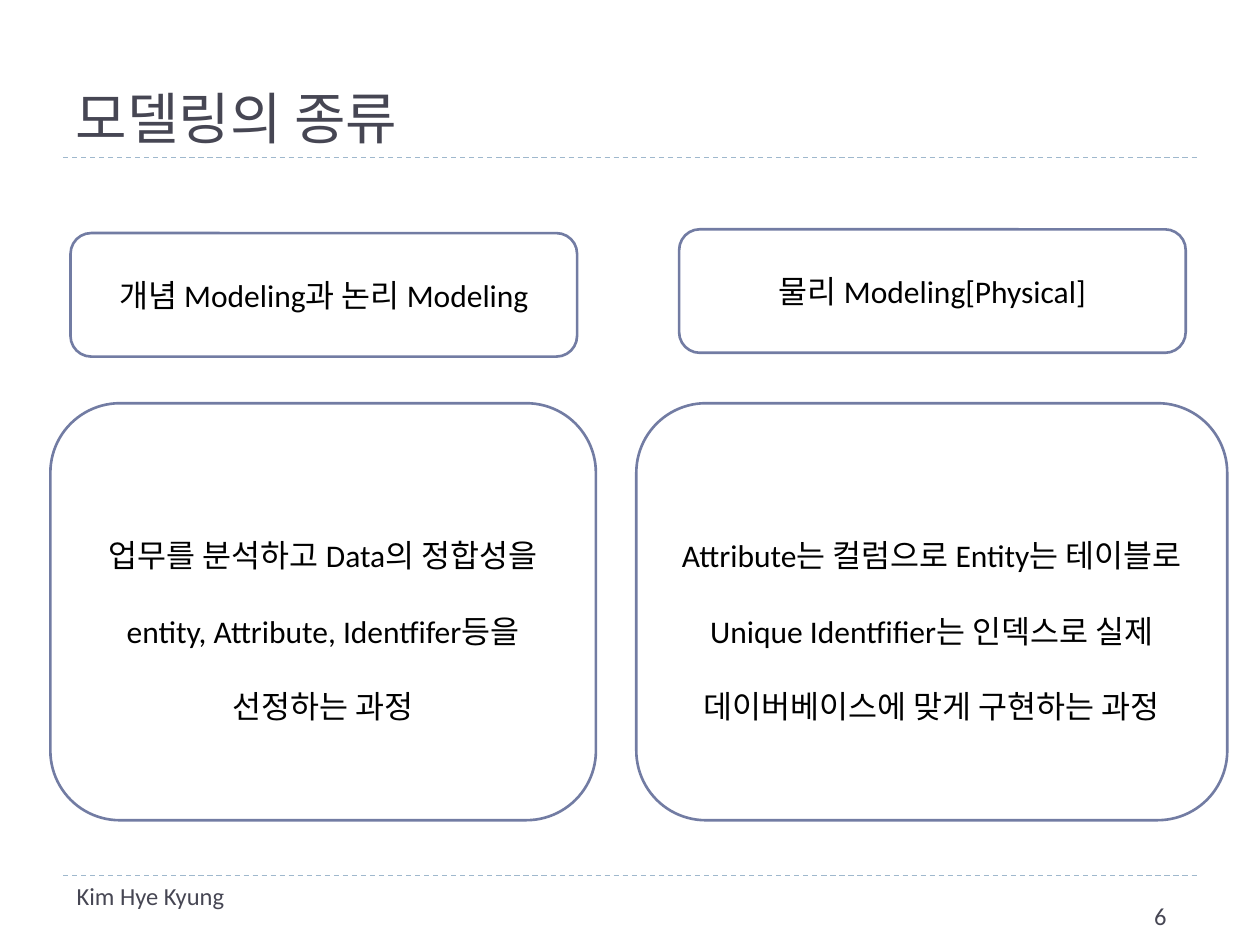
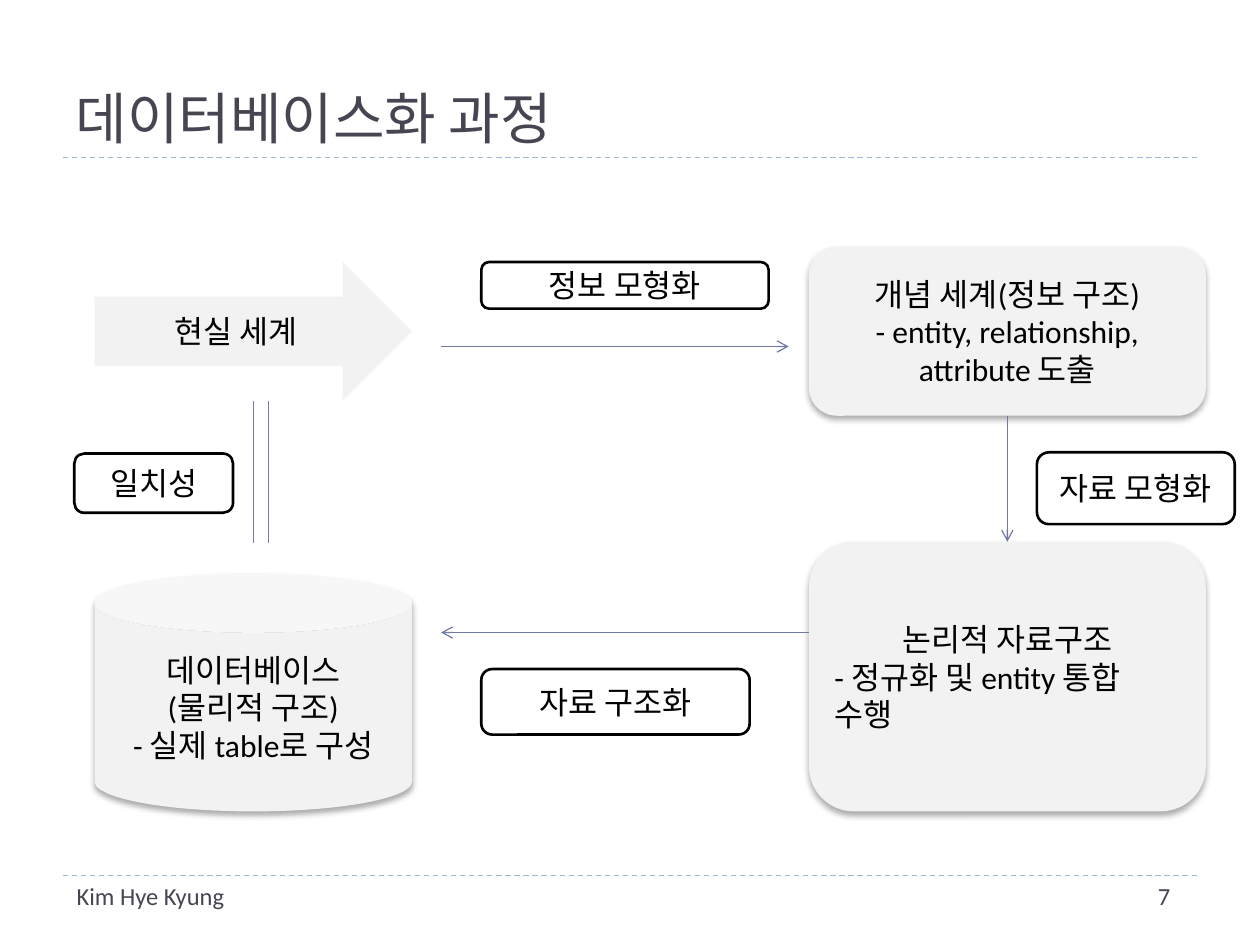
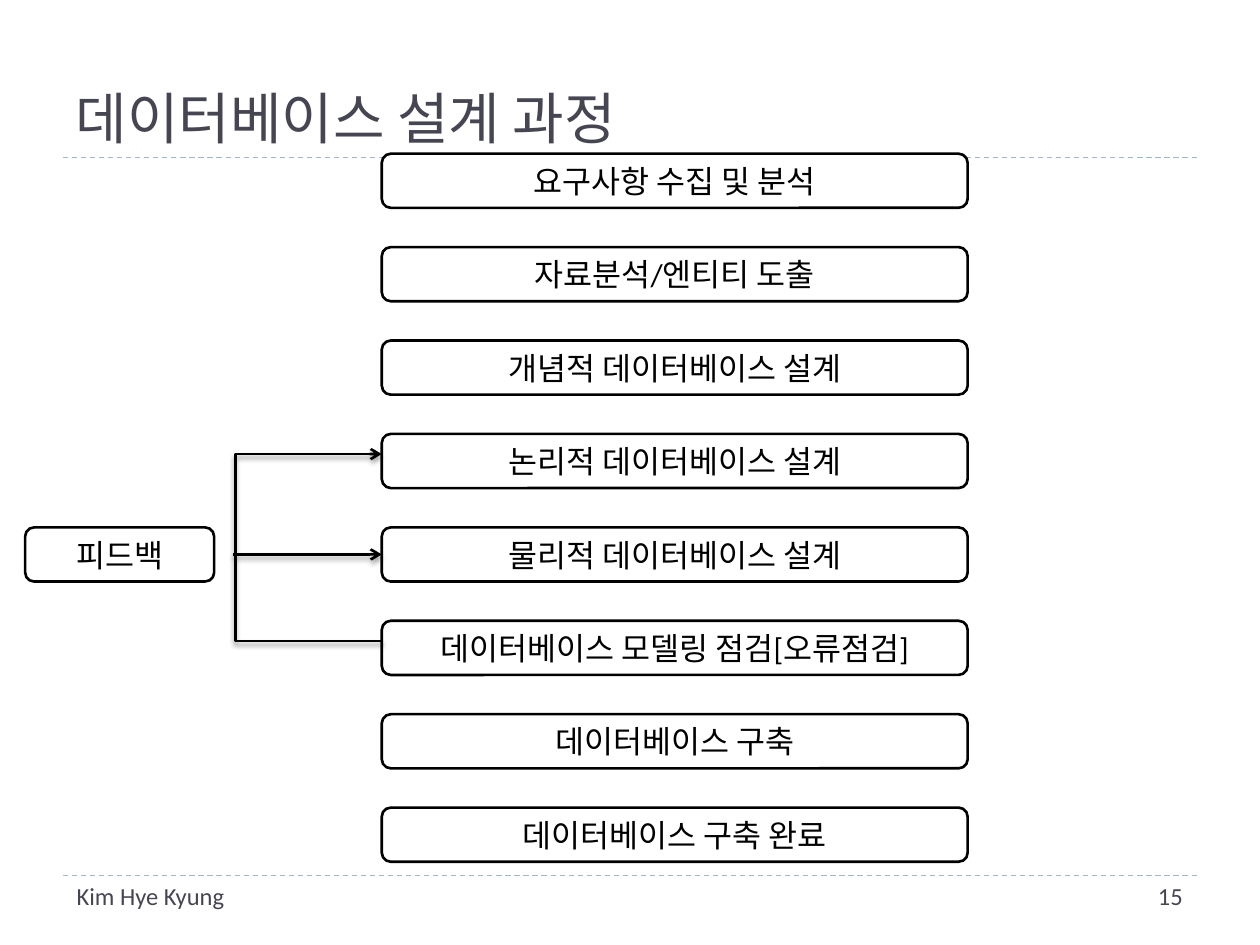
import dataclasses

import lxml.etree
import pptx
import pptx.dml.color
import pptx.enum.dml
import pptx.enum.shapes
import pptx.enum.text
import pptx.oxml.ns
import pptx.util

KIND = pptx.enum.shapes.MSO_SHAPE
LINK = pptx.enum.shapes.MSO_CONNECTOR
ALIGN = pptx.enum.text.PP_ALIGN
ANCHOR = pptx.enum.text.MSO_ANCHOR


@dataclasses.dataclass(frozen=True)
class Theme:
    ink: str = "464653"
    rule: str = "9FB8CD"
    edge: str = "727CA3"
    black: str = "000000"
    white: str = "FFFFFF"
    pale: str = "F2F2F2"
    head: str = "TeX Gyre Bonum"
    face: str = "Calibri"
    title: int = 32
    text: int = 18
    foot: int = 14
    thin: float = 0.75
    thick: float = 1.5
    box_glow: tuple = (32, 3.5, 2.2)
    line_glow: tuple = (40, 3, 2)


THEME = Theme()
WIDE, HIGH = 10, 7.5
SIDE, TOP, BASE = 0.5, 1.25, 6.95
AUTHOR = "Kim Hye Kyung"

KINDS = {
    "title": "모델링의 종류",
    "page": ("6", 8.62, 7.1),
    "heads": [
        ("개념 Modeling과 논리 Modeling", (0.56, 1.85, 4.02, 0.98)),
        ("물리 Modeling[Physical]", (5.39, 1.82, 4.02, 0.98)),
    ],
    "notes": [
        ("업무를 분석하고 Data의 정합성을 entity, Attribute, Identfifer등을 "
         "선정하는 과정", (0.4, 3.2, 4.33, 3.31)),
        ("Attribute는 컬럼으로 Entity는 테이블로 Unique Identfifier는 인덱스로 "
         "실제 데이버베이스에 맞게 구현하는 과정", (5.05, 3.2, 4.69, 3.31)),
    ],
}

FLOW = {
    "title": "데이터베이스화 과정",
    "page": ("7", 8.65, 6.94),
    "world": ["현실 세계"],
    "concept": ["개념 세계(정보 구조)", "- entity, relationship, attribute 도출"],
    "logic": ["논리적 자료구조", "- 정규화 및 entity 통합 수행"],
    "store": ["데이터베이스", "(물리적 구조)", "- 실제 table로 구성"],
    "tags": [
        ("일치성", (0.59, 3.6, 1.26, 0.47)),
        ("정보 모형화", (3.82, 2.08, 2.28, 0.37)),
        ("자료 모형화", (8.23, 3.59, 1.57, 0.57)),
        ("자료 구조화", (3.82, 5.31, 2.13, 0.52)),
    ],
}

STEPS = {
    "title": "데이터베이스 설계 과정",
    "page": ("15", 8.65, 6.94),
    "steps": [
        "요구사항 수집 및 분석",
        "자료분석/엔티티 도출",
        "개념적 데이터베이스 설계",
        "논리적 데이터베이스 설계",
        "물리적 데이터베이스 설계",
        "데이터베이스 모델링 점검[오류점검]",
        "데이터베이스 구축",
        "데이터베이스 구축 완료",
    ],
    "back": "피드백",
}


def inch(*nums):
    return [pptx.util.Inches(num) for num in nums]


def tint(code):
    return pptx.dml.color.RGBColor.from_string(code)


def write(frame, lines, size=THEME.text, face=THEME.face, color=THEME.black,
          align=ALIGN.CENTER, anchor=ANCHOR.MIDDLE, space=None, inset=0.1):
    """Fill a frame; align is one value or a list with one per line."""
    frame.word_wrap = True
    frame.auto_size = pptx.enum.text.MSO_AUTO_SIZE.NONE
    frame.vertical_anchor = anchor
    frame.margin_left = frame.margin_right = pptx.util.Inches(inset)
    sides = align if isinstance(align, list) else [align] * len(lines)
    for num, (line, side) in enumerate(zip(lines, sides)):
        para = frame.add_paragraph() if num else frame.paragraphs[0]
        para.alignment = side
        para.line_spacing = space
        run = para.add_run()
        run.text = line
        run.font.size = pptx.util.Pt(size)
        run.font.name = face
        run.font.color.rgb = tint(color)


def node(parent, tag, **attrs):
    item = lxml.etree.SubElement(parent, pptx.oxml.ns.qn(tag))
    for name, value in attrs.items():
        item.set(name, str(value))
    return item


def glow(effects, look):
    """Add a shadow that falls straight down: opacity, blur, distance."""
    alpha, blur, dist = look
    shade = node(effects, "a:outerShdw", blurRad=pptx.util.Pt(blur),
                 dist=pptx.util.Pt(dist), dir=90 * 60000,
                 algn="ctr", rotWithShape=0)
    color = node(shade, "a:srgbClr", val=THEME.black)
    node(color, "a:alpha", val=alpha * 1000)


def box(slide, lines, place, kind=KIND.ROUNDED_RECTANGLE, fill=THEME.white,
        edge=THEME.black, look=None, **style):
    shape = slide.shapes.add_shape(kind, *inch(*place))
    shape.shadow.inherit = False
    shape.fill.solid()
    shape.fill.fore_color.rgb = tint(fill)
    if edge:
        shape.line.color.rgb = tint(edge)
        shape.line.width = pptx.util.Pt(THEME.thick)
    else:
        shape.line.fill.background()
    if look:
        glow(shape.element.spPr.find(pptx.oxml.ns.qn("a:effectLst")), look)
    write(shape.text_frame, lines, **style)
    return shape


def link(slide, start, end, kind=LINK.STRAIGHT, color=THEME.edge,
         width=THEME.thin, arrow=True, dash=None, look=None):
    line = slide.shapes.add_connector(kind, *inch(*start, *end))
    line.line.color.rgb = tint(color)
    line.line.width = pptx.util.Pt(width)
    if dash:
        line.line.dash_style = dash
    props = line.element.spPr
    if arrow:
        node(props.find(pptx.oxml.ns.qn("a:ln")), "a:tailEnd", type="arrow")
    effects = node(props, "a:effectLst")
    if look:
        glow(effects, look)
    return line


def label(slide, text, place):
    note = slide.shapes.add_textbox(*inch(*place))
    write(note.text_frame, [text], size=THEME.foot, color=THEME.ink,
          align=ALIGN.LEFT, anchor=ANCHOR.TOP)
    return note


def frame(slide, layout):
    """Draw the rules and the author, then move them to the layout."""
    parts = [link(slide, (SIDE, y), (WIDE - SIDE, y), color=THEME.rule,
                  arrow=False, dash=pptx.enum.dml.MSO_LINE.DASH)
             for y in (BASE, TOP)]
    parts.append(label(slide, AUTHOR, (0.51, 6.94, 2.34, 0.4)))
    for part in parts:
        layout.shapes.element.append(part.element)


def begin(deck, layout, data):
    slide = deck.slides.add_slide(layout)
    title = slide.shapes.title
    title.left, title.top, title.width, title.height = inch(
        SIDE, 0.17, WIDE - 2 * SIDE, 1.08)
    write(title.text_frame, [data["title"]], size=THEME.title,
          face=THEME.head, color=THEME.ink, align=ALIGN.LEFT,
          anchor=ANCHOR.BOTTOM)
    page, left, top = data["page"]
    note = label(slide, page, (left, top, 1.23, 0.4))
    note.text_frame.margin_left = pptx.util.Inches(0.54)
    return slide


def draw_kinds(slide):
    for text, place in KINDS["heads"]:
        box(slide, [text], place, edge=THEME.edge)
    for text, place in KINDS["notes"]:
        box(slide, [text], place, edge=THEME.edge, space=2, inset=0.12)


def draw_flow(slide):
    near, far, span, wide = 0.75, 6.42, 2.52, 3.15
    soft = {"fill": THEME.pale, "edge": None}
    lift = {**soft, "look": THEME.box_glow}
    box(slide, FLOW["world"], (near, 2.08, span, 1.1),
        kind=KIND.RIGHT_ARROW, **soft)
    concept = box(slide, FLOW["concept"], (far, 1.96, wide, 1.34), **lift)
    logic = box(slide, FLOW["logic"], (far, 4.3, wide, 2.14),
                align=[ALIGN.CENTER, ALIGN.LEFT], **lift)
    box(slide, FLOW["store"], (near, 4.55, span, 1.89), kind=KIND.CAN, **lift)

    mid = near + span / 2
    for x in (mid, mid + 0.12):
        link(slide, (x, 3.18), (x, 4.31), arrow=False)
    link(slide, (3.5, 2.75), (6.26, 2.75))
    link(slide, (far, 5.02), (3.5, 5.02))
    down = link(slide, (far + wide / 2, 3.3), (far + wide / 2, 4.3))
    down.begin_connect(concept, 2)
    down.end_connect(logic, 0)
    for text, place in FLOW["tags"]:
        box(slide, [text], place)


def draw_steps(slide):
    left, top, wide, high = 3.03, 1.22, 4.65, 0.43
    pitch = (6.41 - top) / (len(STEPS["steps"]) - 1)
    rows = [top + num * pitch for num in range(len(STEPS["steps"]))]
    boxes = [box(slide, [text], (left, y, wide, high))
             for text, y in zip(STEPS["steps"], rows)]
    logic, check = rows[3], rows[5]
    build = 4

    style = {"color": THEME.black, "width": THEME.thick,
             "look": THEME.line_glow}
    turn, nudge = 1.85, 0.01
    loop = link(slide, (left + nudge, check + 0.16), (left, logic + 0.16),
                kind=LINK.ELBOW, **style)
    guides = loop.element.spPr.find(".//" + pptx.oxml.ns.qn("a:avLst"))
    bend = round((left + nudge - turn) / nudge * 100000)
    node(guides, "a:gd", name="adj1", fmla=f"val {bend}")

    middle = rows[build] + high / 2
    arrow = link(slide, (turn, middle), (left, middle), **style)
    arrow.end_connect(boxes[build], 1)
    box(slide, [STEPS["back"]], (0.2, rows[build], 1.5, high))


def main():
    deck = pptx.Presentation()
    deck.slide_width, deck.slide_height = inch(WIDE, HIGH)
    layout = deck.slide_layouts[5]
    pages = ((KINDS, draw_kinds), (FLOW, draw_flow), (STEPS, draw_steps))
    for num, (data, draw) in enumerate(pages):
        slide = begin(deck, layout, data)
        if num == 0:
            frame(slide, layout)
        draw(slide)
    deck.save("out.pptx")


if __name__ == "__main__":
    main()
